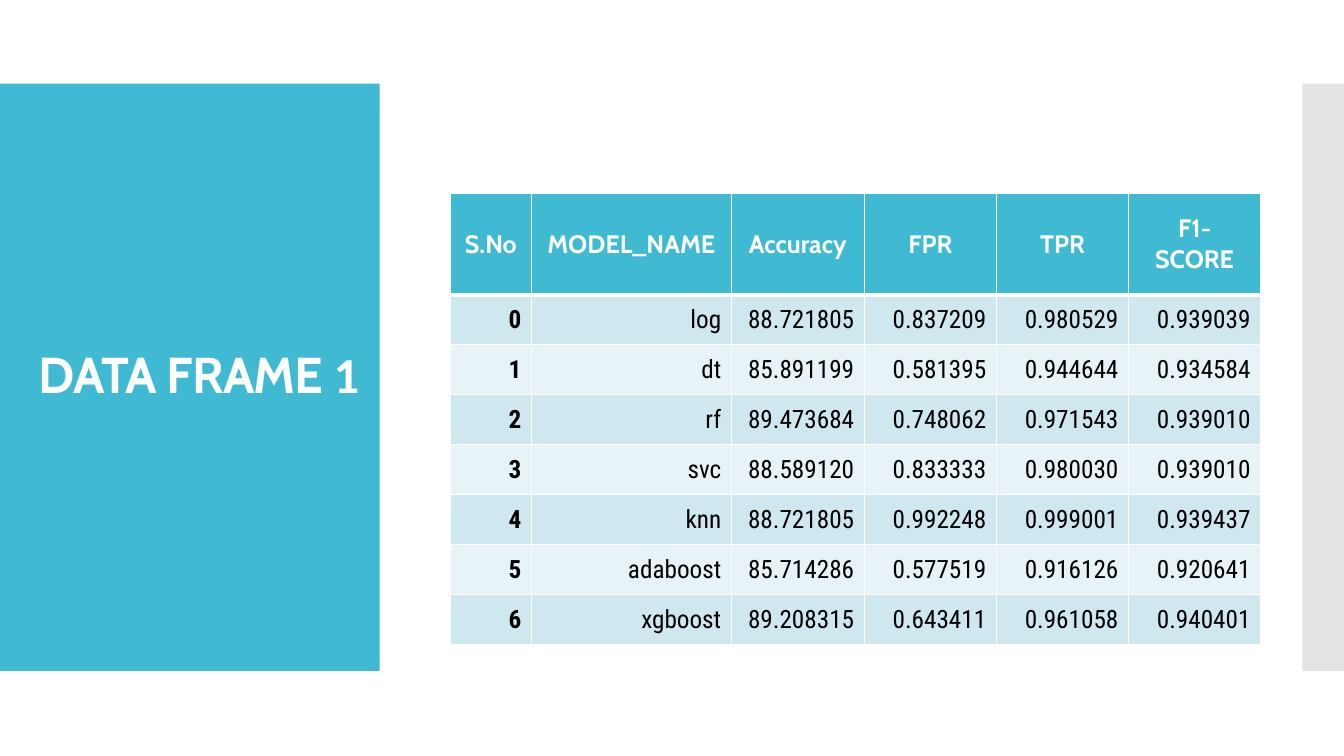
import pptx
import pptx.util
import pptx.dml.color
import pptx.enum.shapes
import pptx.enum.text
import pptx.oxml.ns
from lxml import etree

Cm, Pt = pptx.util.Cm, pptx.util.Pt
ALIGN = pptx.enum.text.PP_ALIGN
MIDDLE = pptx.enum.text.MSO_ANCHOR.MIDDLE
qn = pptx.oxml.ns.qn

HEADERS = ["S.No", "MODEL_NAME", "Accuracy", "FPR", "TPR", "F1-SCORE"]
SCORES = [
    ["0", "log", "88.721805", "0.837209", "0.980529", "0.939039"],
    ["1", "dt", "85.891199", "0.581395", "0.944644", "0.934584"],
    ["2", "rf", "89.473684", "0.748062", "0.971543", "0.939010"],
    ["3", "svc", "88.589120", "0.833333", "0.980030", "0.939010"],
    ["4", "knn", "88.721805", "0.992248", "0.999001", "0.939437"],
    ["5", "adaboost", "85.714286", "0.577519", "0.916126", "0.920641"],
    ["6", "xgboost", "89.208315", "0.643411", "0.961058", "0.940401"],
]
COL_WIDTHS = [2.04, 5.04, 3.35, 3.33, 3.33, 3.33]


def paint(fill, colour):
    fill.solid()
    fill.fore_color.rgb = pptx.dml.color.RGBColor.from_string(colour)


def add_text(p, text, font, size, colour, bold=False, align=None, spacing=None):
    """Append a formatted run to paragraph p; spacing is in points."""
    if align is not None:
        p.alignment = align
    r = p.add_run()
    r.text = text
    r.font.name, r.font.size, r.font.bold = font, Pt(size), bold
    paint(r.font.fill, colour)
    if spacing is not None:
        r.font._element.set("spc", str(round(spacing * 100)))


def add_border(cell, side, width, colour):
    """Draw one edge of a cell; side is L, R, T or B."""
    ln = etree.SubElement(cell._tc.get_or_add_tcPr(), qn(f"a:ln{side}"), w=str(Pt(width)))
    fill = etree.SubElement(ln, qn("a:solidFill"))
    etree.SubElement(fill, qn("a:srgbClr"), val=colour)


class Deck:
    accent, grey, white, black = "40BAD2", "C8C8C8", "FFFFFF", "000000"
    bands = ["CFE7EE", "E8F3F7"]
    heading_font, body_font = "Cabin", "Roboto Condensed"

    def __init__(self):
        self.prs = pptx.Presentation()
        self.prs.slide_width, self.prs.slide_height = Cm(33.87), Cm(19.05)
        self.s = self.prs.slides.add_slide(self.prs.slide_layouts[5])

    def panel(self, left, top, width, height, colour, opacity=100):
        sp = self.s.shapes.add_shape(pptx.enum.shapes.MSO_SHAPE.RECTANGLE,
                                     Cm(left), Cm(top), Cm(width), Cm(height))
        sp.shadow.inherit = False
        sp.line.fill.background()
        paint(sp.fill, colour)
        if opacity < 100:
            clr = sp._element.spPr.find(".//" + qn("a:srgbClr"))
            etree.SubElement(clr, qn("a:alpha"), val=str(opacity * 1000))

    def title(self, left, top, width, height, parts):
        """Place the title above the panels; parts are (text, font) pairs."""
        sp = self.s.shapes.title
        sp.left, sp.top, sp.width, sp.height = Cm(left), Cm(top), Cm(width), Cm(height)
        self.s.shapes._spTree.append(sp._element)
        tf = sp.text_frame
        tf.word_wrap, tf.vertical_anchor = True, MIDDLE
        tf.auto_size = pptx.enum.text.MSO_AUTO_SIZE.NONE
        p = tf.paragraphs[0]
        p.line_spacing = 0.9
        for text, font in parts:
            add_text(p, text, font, 36, self.white, bold=True, align=ALIGN.LEFT, spacing=-0.6)

    def table(self, left, top, col_widths, header_height, row_height, headers, rows):
        height = header_height + row_height * len(rows)
        tbl = self.s.shapes.add_table(len(rows) + 1, len(headers), Cm(left), Cm(top),
                                      Cm(sum(col_widths)), Cm(height)).table
        for col, width in zip(tbl.columns, col_widths):
            col.width = Cm(width)
        for i, values in enumerate([headers] + rows):
            is_header = i == 0
            tbl.rows[i].height = Cm(header_height if is_header else row_height)
            for j, text in enumerate(values):
                cell = tbl.cell(i, j)
                cell.vertical_anchor = MIDDLE
                for side in "LRTB":
                    thick = (is_header and side == "B") or (i == 1 and side == "T")
                    add_border(cell, side, 3 if thick else 1, self.white)
                paint(cell.fill, self.accent if is_header else self.bands[(i - 1) % 2])
                add_text(cell.text_frame.paragraphs[0], text,
                         self.heading_font if is_header else self.body_font, 18,
                         self.white if is_header else self.black,
                         bold=is_header or j == 0,
                         align=ALIGN.CENTER if is_header else ALIGN.RIGHT)


def main():
    deck = Deck()
    deck.panel(0, 2.11, 9.57, 14.8, deck.accent)
    deck.panel(32.82, 2.11, 1.05, 14.8, deck.grey, opacity=50)
    deck.title(0.71, 3.12, 8.69, 12.78, [("DATA FRAME ", deck.heading_font), ("1", "Calibri")])
    deck.table(11.35, 4.87, COL_WIDTHS, 2.56, 1.26, HEADERS, SCORES)
    deck.prs.save("out.pptx")


if __name__ == "__main__":
    main()
